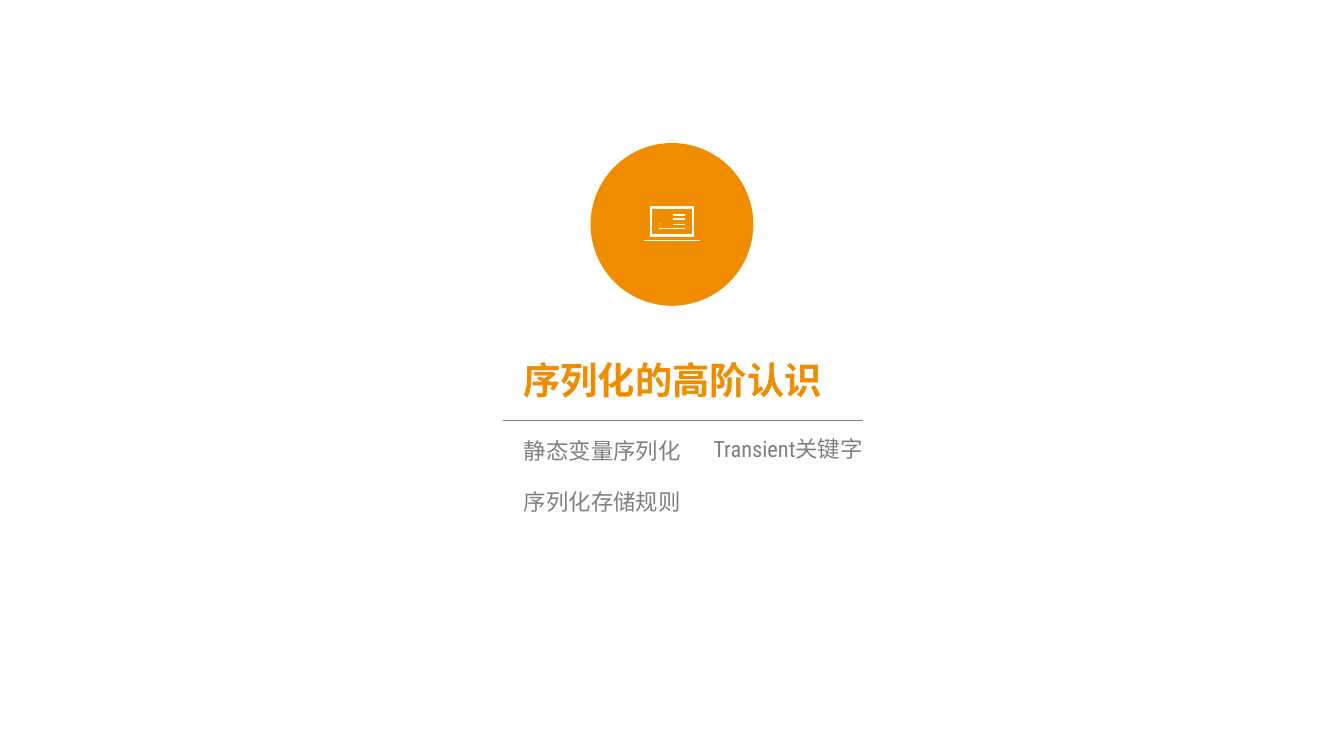
from lxml.etree import SubElement
from pptx import Presentation
from pptx.dml.color import RGBColor
from pptx.enum.shapes import MSO_CONNECTOR, MSO_SHAPE
from pptx.enum.text import MSO_AUTO_SIZE, PP_ALIGN
from pptx.oxml.ns import qn
from pptx.util import Inches, Pt

ORANGE, GRAY, WHITE = "F08C00", "808080", "FFFFFF"
CJK = "Noto Sans CJK SC"
HEADING = {"size": Pt(20), "name": CJK, "bold": True}
TOPIC = {"size": Pt(12), "name": "Roboto Condensed"}
TEXTS = [
    ("序列化的高阶认识", (3.78, 2.61, 2.45, 0.44), HEADING, ORANGE, PP_ALIGN.CENTER),
    ("静态变量序列化", (3.8, 3.2, 1.38, 0.3), TOPIC, GRAY, PP_ALIGN.LEFT),
    ("Transient关键字", (5.21, 3.19, 1.36, 0.3), TOPIC, GRAY, PP_ALIGN.LEFT),
    ("序列化存储规则", (3.8, 3.58, 1.38, 0.3), TOPIC, GRAY, PP_ALIGN.LEFT),
]
DIVIDER = (3.74, 3.13, 6.42, 3.13)
CIRCLE = (4.41, 1.08, 1.18, 1.18)
SCREEN = [(4.83, 1.53, 5.17, 1.77), (4.86, 1.56, 5.14, 1.74)]
PHOTO = [(4.9, 1.59, 4.99, 1.67), (4.91, 1.6, 4.98, 1.66)]
BAR_HEIGHT = 0.02
BARS = [(5, 1.59, 5.1), (5, 1.62, 5.1), (5, 1.66, 5.1),
        (4.9, 1.69, 5.1), (4.79, 1.78, 5.21)]


def rgb(value):
    """Turn a hex string into a colour."""
    return RGBColor.from_string(value)


def style(sp, fill, width):
    """Give a shape a plain fill and an orange outline."""
    sp.shadow.inherit = False
    sp.fill.solid()
    sp.fill.fore_color.rgb = rgb(fill)
    sp.line.color.rgb = rgb(ORANGE)
    sp.line.width = Pt(width)


def add_text(s, text, box, font, color, align):
    """Add one unwrapped line of text."""
    tf = s.shapes.add_textbox(*map(Inches, box)).text_frame
    tf.word_wrap = False
    tf.auto_size = MSO_AUTO_SIZE.SHAPE_TO_FIT_TEXT
    p = tf.paragraphs[0]
    p.alignment = align
    r = p.add_run()
    r.text = text
    for name, value in font.items():
        setattr(r.font, name, value)
    r.font.color.rgb = rgb(color)
    SubElement(r.font._element, qn("a:ea"), typeface=CJK)


def add_laptop(s, boxes):
    """Draw the laptop as one outline made of rectangles."""
    builder = None
    for box in boxes:
        x1, y1, x2, y2 = map(Inches, box)
        if builder is None:
            builder = s.shapes.build_freeform(x1, y1)
        else:
            builder.move_to(x1, y1)
        builder.add_line_segments([(x2, y1), (x2, y2), (x1, y2)], close=True)
    style(builder.convert_to_shape(), WHITE, 0.75)


def main():
    """Build the section slide."""
    prs = Presentation()
    prs.slide_width = Inches(10)
    prs.slide_height = prs.slide_width * 9 // 16
    s = prs.slides.add_slide(prs.slide_layouts[6])
    line = s.shapes.add_connector(MSO_CONNECTOR.STRAIGHT, *map(Inches, DIVIDER))
    line.line.color.rgb = rgb(GRAY)
    line.line.width = Pt(0.5)
    SubElement(line._element.spPr, qn("a:effectLst"))
    style(s.shapes.add_shape(MSO_SHAPE.OVAL, *map(Inches, CIRCLE)), ORANGE, 2.25)
    bars = [(x1, y, x2, y + BAR_HEIGHT) for x1, y, x2 in BARS]
    add_laptop(s, SCREEN + PHOTO + bars)
    for item in TEXTS:
        add_text(s, *item)
    prs.save("out.pptx")


if __name__ == "__main__":
    main()
